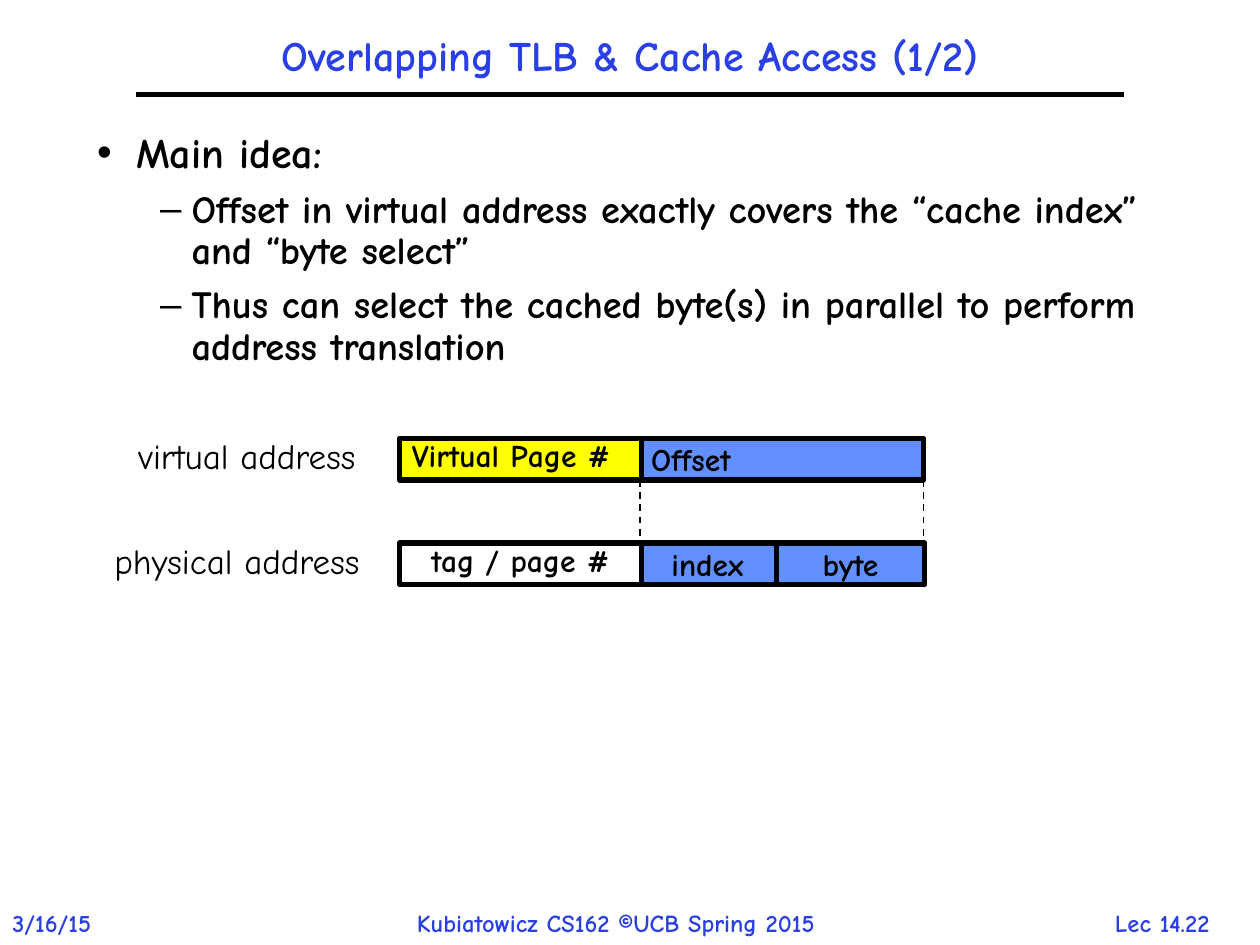
from lxml import etree
from pptx import Presentation
from pptx import util as u
from pptx.dml.color import RGBColor
from pptx.enum import dml, shapes, text
from pptx.oxml.ns import qn

BLACK = RGBColor(0, 0, 0)
WHITE = RGBColor(255, 255, 255)
BLUE = RGBColor(0x2A, 0x40, 0xE2)
SKY = RGBColor(0x61, 0x8F, 0xFD)
YELLOW = RGBColor(255, 255, 0)
LEFT = text.PP_ALIGN.LEFT
CENTER = text.PP_ALIGN.CENTER


class Deck:
    face = "Comic Neue"

    def __init__(self):
        self.prs = Presentation()
        self.prs.slide_width = u.Inches(10)
        self.prs.slide_height = u.Inches(7.5)
        self.slide = self.prs.slides.add_slide(self.prs.slide_layouts[1])

    def place(self, item, *box):
        item.left, item.top, item.width, item.height = map(u.Inches, box)

    def style(self, para, size, color=BLACK, bold=True, align=LEFT, space=1.0):
        para.alignment = align
        para.line_spacing = space
        font = para.font
        font.name = self.face
        font.size = u.Pt(size)
        font.bold = bold
        font.color.rgb = color

    def title(self, words, *box):
        item = self.slide.shapes.title
        self.place(item, *box)
        frame = item.text_frame
        frame.text = words
        frame.auto_size = text.MSO_AUTO_SIZE.NONE
        frame.vertical_anchor = text.MSO_ANCHOR.MIDDLE
        self.style(frame.paragraphs[0], 24, BLUE, align=CENTER, space=0.9)

    def body(self, rows, *box):
        item = self.slide.placeholders[1]
        self.place(item, *box)
        frame = item.text_frame
        frame.text = "\n".join(words for _, words in rows)
        frame.auto_size = text.MSO_AUTO_SIZE.NONE
        looks = [("•", 0.31, 0.31, 24), ("–", 0.75, 0.25, 22)]
        for i, (level, _) in enumerate(rows):
            para = frame.paragraphs[i]
            mark, margin, hang, size = looks[level]
            para.level = level
            props = para._p.get_or_add_pPr()
            props.set("marL", str(u.Inches(margin)))
            props.set("indent", str(-u.Inches(hang)))
            etree.SubElement(props, qn("a:buChar")).set("char", mark)
            para.space_before = u.Pt(7 if i else 0)
            self.style(para, size, space=0.9)

    def label(self, words, box, size, **look):
        item = self.slide.shapes.add_textbox(*map(u.Inches, box))
        frame = item.text_frame
        frame.word_wrap = True
        frame.text = words
        self.style(frame.paragraphs[0], size, **look)

    def cell(self, words, left, top, width, fill, **look):
        item = self.slide.shapes.add_shape(
            shapes.MSO_SHAPE.RECTANGLE, *map(u.Inches, (left, top, width, 0.33)))
        item.shadow.inherit = False
        item.fill.solid()
        item.fill.fore_color.rgb = fill
        item.line.color.rgb = BLACK
        item.line.width = u.Pt(3)
        frame = item.text_frame
        frame.word_wrap = True
        frame.vertical_anchor = text.MSO_ANCHOR.MIDDLE
        frame.text = words
        self.style(frame.paragraphs[0], 18, **look)

    def line(self, ends, width, dash=None):
        item = self.slide.shapes.add_connector(
            shapes.MSO_CONNECTOR.STRAIGHT, *map(u.Inches, ends))
        item.line.color.rgb = BLACK
        item.line.width = u.Pt(width)
        if dash:
            item.line.dash_style = dash
        etree.SubElement(item._element.spPr, qn("a:effectLst"))


def main():
    deck = Deck()
    deck.label("Lec 14.22", (8.56, 7.16, 1.33, 0.34), 14, color=BLUE, align=CENTER)
    deck.label("3/16/15", (0, 7.16, 1, 0.34), 14, color=BLUE)
    deck.line((1.08, 0.75, 8.92, 0.75), 3)
    deck.label("Kubiatowicz CS162 ©UCB Spring 2015", (3.21, 7.16, 3.87, 0.34), 14,
               color=BLUE)
    deck.title("Overlapping TLB & Cache Access (1/2)", 0.75, 0.17, 8.5, 0.58)
    deck.body([
        (0, "Main idea:"),
        (1, "Offset in virtual address exactly covers the “cache index” and “byte select”"),
        (1, "Thus can select the cached byte(s) in parallel to perform address translation"),
    ], 0.67, 1, 8.67, 2.08)

    virtual, real = 3.48, 4.31
    deck.cell("Offset", 5.07, virtual, 2.26, SKY)
    deck.cell("Virtual Page #", 3.17, virtual, 1.92, YELLOW, space=0.75)
    deck.cell("index", 5.07, real, 1.09, SKY, align=CENTER)
    deck.cell("tag / page #", 3.17, real, 1.92, WHITE, align=CENTER, space=0.75)
    deck.cell("byte", 6.16, real, 1.18, SKY, align=CENTER)
    for x in (5.08, 7.33):
        deck.line((x, 3.81, x, 4.4), 1, dml.MSO_LINE.DASH)
    deck.label("virtual address", (1, virtual - 0.08, 2.25, 0.44), 20, bold=False)
    deck.label("physical address", (0.81, real - 0.08, 2.44, 0.44), 20, bold=False)
    deck.prs.save("out.pptx")


if __name__ == "__main__":
    main()
